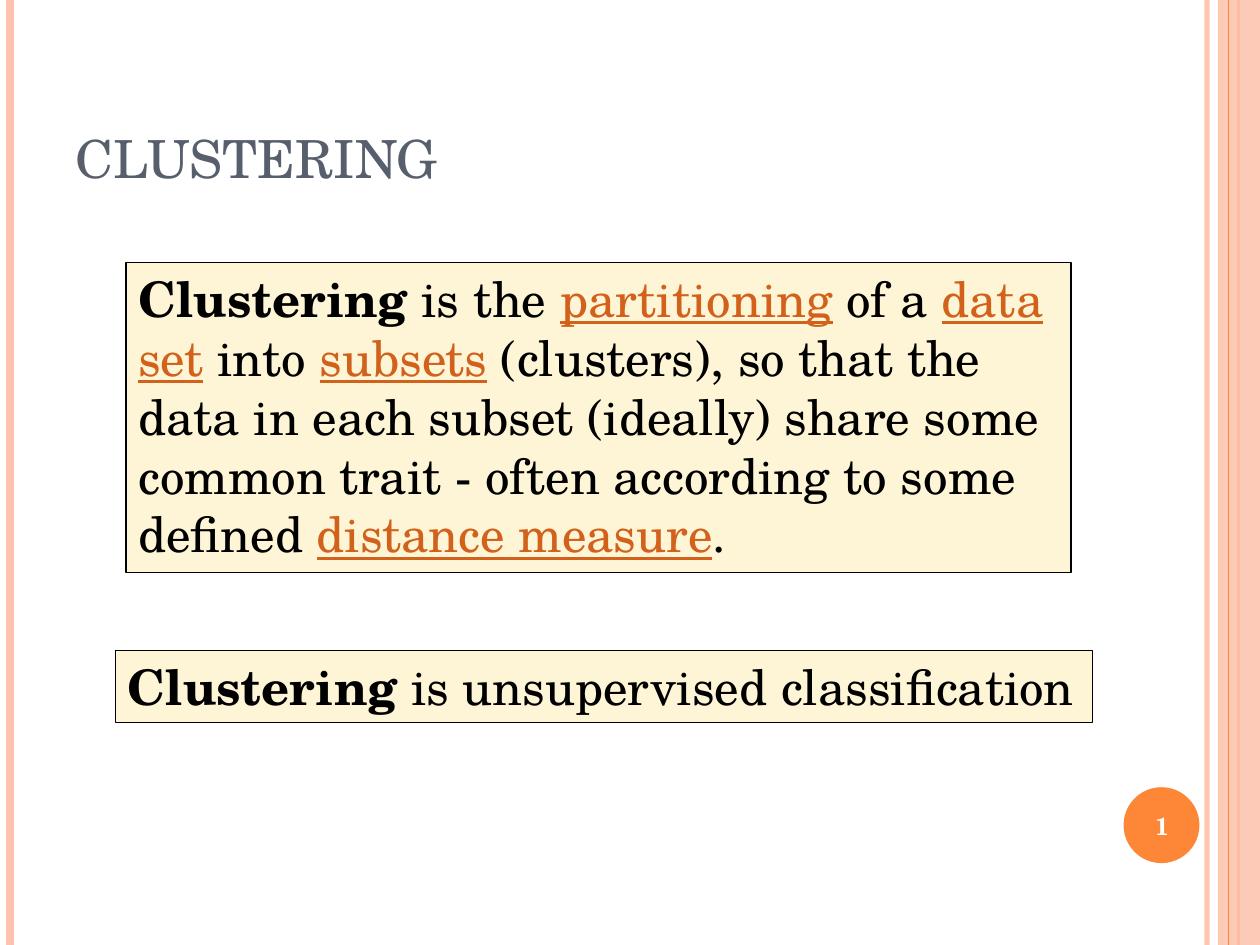
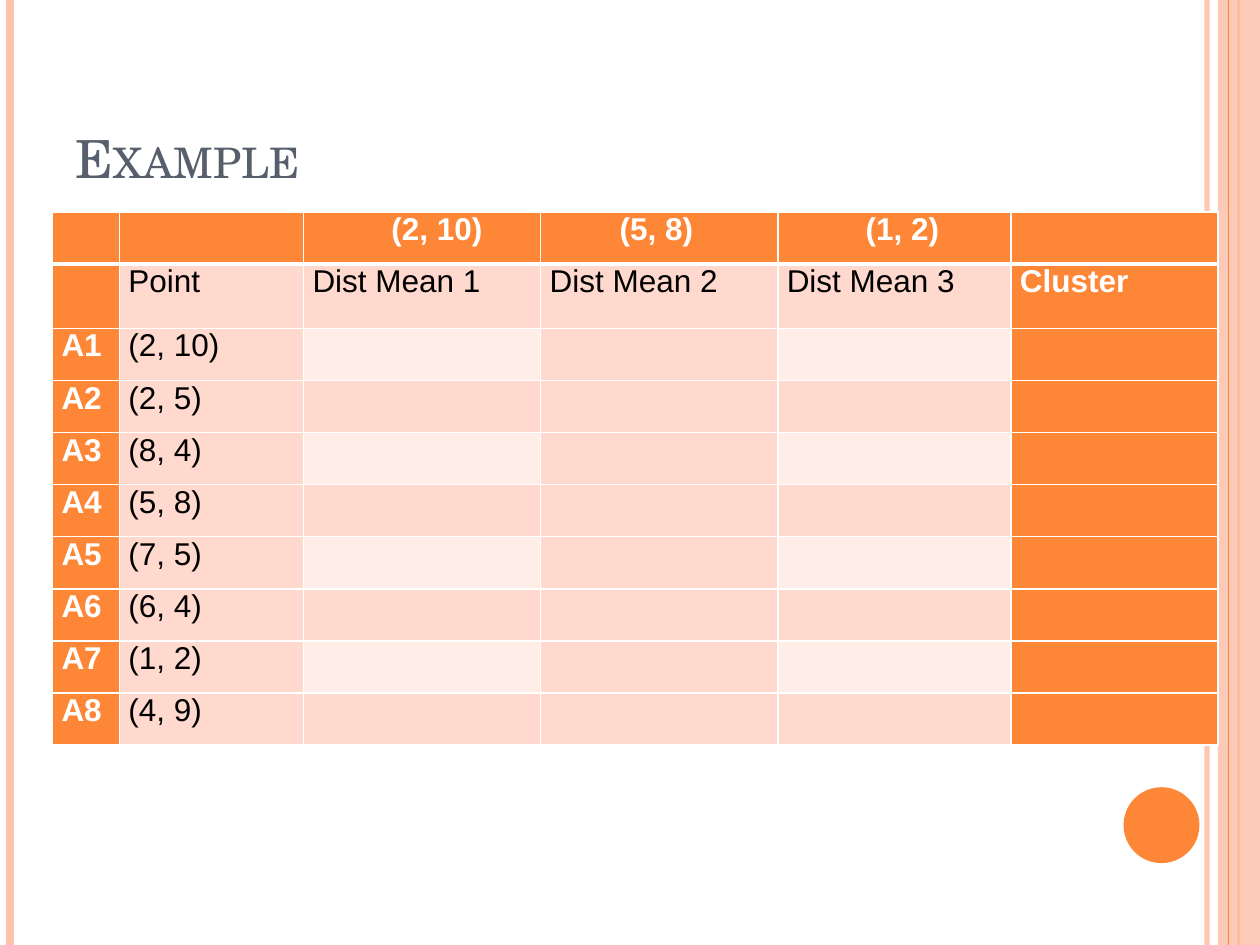
from dataclasses import dataclass

from lxml import etree
from pptx import Presentation
from pptx.dml.color import RGBColor
from pptx.enum.shapes import MSO_CONNECTOR, MSO_SHAPE
from pptx.enum.text import MSO_ANCHOR, MSO_AUTO_SIZE, PP_ALIGN
from pptx.oxml.ns import qn
from pptx.util import Cm, Pt

STRAIGHT = MSO_CONNECTOR.STRAIGHT
RECTANGLE, OVAL = MSO_SHAPE.RECTANGLE, MSO_SHAPE.OVAL
LEFT, CENTER = PP_ALIGN.LEFT, PP_ALIGN.CENTER
BOTTOM, MIDDLE, TOP = MSO_ANCHOR.BOTTOM, MSO_ANCHOR.MIDDLE, MSO_ANCHOR.TOP
GROW = MSO_AUTO_SIZE.SHAPE_TO_FIT_TEXT
NO_FIT = MSO_AUTO_SIZE.NONE
TITLE_ONLY_LAYOUT = 5


@dataclass(frozen=True)
class Theme:
    orange: str = "FE8637"
    peach: str = "FEC3AE"
    cream: str = "FDF5D5"
    link: str = "D2611C"
    slate: str = "575F6D"
    tint: str = "FFD9CE"
    pale: str = "FFEDE8"
    black: str = "000000"
    white: str = "FFFFFF"
    serif: str = "TeX Gyre Schola"
    sans: str = "Arial"
    title_size: int = 30
    text_size: int = 28
    table_size: int = 18
    number_size: int = 14


THEME = Theme()
WIDTH, HEIGHT = 25.4, 19.05


@dataclass(frozen=True)
class Frame:
    left: float
    top: float
    width: float
    height: float

    def lengths(self) -> tuple:
        return Cm(self.left), Cm(self.top), Cm(self.width), Cm(self.height)


@dataclass(frozen=True)
class Stripe:
    x: float
    color: str
    weight: float
    opacity: int = 100


@dataclass(frozen=True)
class Span:
    text: str
    size: int = THEME.text_size
    color: str = THEME.black
    bold: bool = False
    underline: bool = False
    font: str = THEME.serif


@dataclass(frozen=True)
class Entry:
    text: str = ""
    fill: str = THEME.orange
    indent: float = 0


TITLE_FRAME = Frame(1.27, 0.76, 20.75, 3.18)
BAND_FRAME = Frame(24.55, 0, 0.85, HEIGHT)
BADGE_FRAME = Frame(22.65, 15.87, 1.53, 1.53)
NUMBER_FRAME = Frame(22.58, 15.93, 1.7, 1.45)
STRIPES_BELOW_BAND = (
    Stripe(24.33, THEME.peach, 3, 93),
    Stripe(0.21, THEME.peach, 4.5),
    Stripe(24.97, THEME.orange, 1.5),
)
STRIPE_ON_BAND = Stripe(24.76, THEME.orange, 0.75)

DEFINITION_FRAME = Frame(2.54, 5.29, 19.05, 6.25)
SUMMARY_FRAME = Frame(2.33, 13.12, 19.69, 1.45)
TABLE_FRAME = Frame(1.06, 4.27, 23.49, 10.77)
COLUMN_WIDTHS = (1.35, 3.71, 4.78, 4.78, 4.7, 4.17)
ROW_HEIGHT, LABEL_ROW_HEIGHT = 1.05, 1.3
POINTS = ("(2, 10)", "(2, 5)", "(8, 4)", "(5, 8)",
          "(7, 5)", "(6, 4)", "(1, 2)", "(4, 9)")
MEANS = (("(2, 10)", 1.59), ("(5, 8)", 1.41), ("(1, 2)", 1.59))


def rgb(color: str) -> RGBColor:
    return RGBColor.from_string(color)


def set_opacity(properties, percent: int) -> None:
    if percent < 100:
        color = next(properties.iter(qn("a:srgbClr")))
        etree.SubElement(color, qn("a:alpha")).set("val", str(percent * 1000))


def add_span(para, span: Span):
    run = para.add_run()
    run.text = span.text
    font = run.font
    font.name, font.size = span.font, Pt(span.size)
    font.bold, font.underline = span.bold, span.underline
    font.color.rgb = rgb(span.color)
    return run


def add_stripe(page, stripe: Stripe) -> None:
    x = Cm(stripe.x)
    connector = page.shapes.add_connector(STRAIGHT, x, 0, x, Cm(HEIGHT))
    connector.line.color.rgb = rgb(stripe.color)
    connector.line.width = Pt(stripe.weight)
    properties = connector.element.spPr
    set_opacity(properties, stripe.opacity)
    etree.SubElement(properties, qn("a:effectLst"))


def add_filled(page, kind, frame: Frame, color: str, opacity: int = 100):
    shape = page.shapes.add_shape(kind, *frame.lengths())
    shape.shadow.inherit = False
    shape.fill.solid()
    shape.fill.fore_color.rgb = rgb(color)
    set_opacity(shape.element.spPr, opacity)
    shape.line.fill.background()
    return shape


def add_page(deck, title: str):
    page = deck.slides.add_slide(deck.slide_layouts[TITLE_ONLY_LAYOUT])
    for stripe in STRIPES_BELOW_BAND:
        add_stripe(page, stripe)
    add_filled(page, RECTANGLE, BAND_FRAME, THEME.peach, 87)
    add_stripe(page, STRIPE_ON_BAND)
    add_filled(page, OVAL, BADGE_FRAME, THEME.orange)
    heading = page.shapes.title
    heading.left, heading.top, heading.width, heading.height = TITLE_FRAME.lengths()
    heading.text_frame.auto_size = NO_FIT
    heading.text_frame.vertical_anchor = BOTTOM
    para = heading.text_frame.paragraphs[0]
    para.alignment = LEFT
    run = add_span(para, Span(title, THEME.title_size, THEME.slate))
    run.font._element.set("cap", "small")
    return page


def add_number(page, number: int) -> None:
    box = page.shapes.add_textbox(*NUMBER_FRAME.lengths())
    box.text_frame.word_wrap = True
    box.text_frame.vertical_anchor = MIDDLE
    para = box.text_frame.paragraphs[0]
    para.alignment = CENTER
    add_span(para, Span(str(number), THEME.number_size, THEME.white, bold=True))


def add_panel(page, frame: Frame, spans: tuple[Span, ...]) -> None:
    panel = add_filled(page, RECTANGLE, frame, THEME.cream)
    panel.line.color.rgb = rgb(THEME.black)
    panel.line.width = Pt(0.75)
    text = panel.text_frame
    text.word_wrap = True
    text.auto_size = GROW
    text.vertical_anchor = TOP
    para = text.paragraphs[0]
    para.alignment = LEFT
    for span in spans:
        add_span(para, span)


def link(text: str) -> Span:
    return Span(text, color=THEME.link, underline=True)


def set_borders(cell, weights: dict[str, float]) -> None:
    properties = cell._tc.get_or_add_tcPr()
    for position, (side, weight) in enumerate(weights.items()):
        line = etree.Element(qn(f"a:ln{side}"), w=str(Pt(weight)))
        fill = etree.SubElement(line, qn("a:solidFill"))
        etree.SubElement(fill, qn("a:srgbClr")).set("val", THEME.white)
        properties.insert(position, line)


def fill_cell(cell, entry: Entry) -> None:
    cell.margin_left = cell.margin_right = Cm(0.18)
    cell.margin_top = cell.margin_bottom = 0
    cell.fill.solid()
    cell.fill.fore_color.rgb = rgb(entry.fill)
    para = cell.text_frame.paragraphs[0]
    if entry.indent:
        para._p.get_or_add_pPr().set("marL", str(Cm(entry.indent)))
    if entry.text:
        strong = entry.fill == THEME.orange
        color = THEME.white if strong else THEME.black
        add_span(para, Span(entry.text, THEME.table_size, color, strong, font=THEME.sans))
    else:
        para.font.size = Pt(THEME.table_size)


def distance_rows() -> list[list[Entry]]:
    header = [Entry(), Entry(), *(Entry(text, indent=gap) for text, gap in MEANS), Entry()]
    names = ["Point"] + [f"Dist Mean {mean}" for mean in range(1, len(MEANS) + 1)]
    labels = [Entry(), *(Entry(name, THEME.tint) for name in names), Entry("Cluster")]
    rows = [header, labels]
    for number, point in enumerate(POINTS, 1):
        outer = THEME.pale if number % 2 else THEME.tint
        blanks = [Entry(fill=fill) for fill in (outer, THEME.tint, outer)]
        rows.append([Entry(f"A{number}"), Entry(point, THEME.tint), *blanks, Entry()])
    return rows


def add_distance_table(page) -> None:
    rows = distance_rows()
    table = page.shapes.add_table(
        len(rows), len(COLUMN_WIDTHS), *TABLE_FRAME.lengths()).table
    table.horz_banding = False
    for column, width in zip(table.columns, COLUMN_WIDTHS):
        column.width = Cm(width)
    for row_index, entries in enumerate(rows):
        table.rows[row_index].height = Cm(LABEL_ROW_HEIGHT if row_index == 1 else ROW_HEIGHT)
        weights = {"L": 1, "R": 1,
                   "T": 3 if row_index == 1 else 1,
                   "B": 3 if row_index == 0 else 1}
        for column_index, entry in enumerate(entries):
            cell = table.cell(row_index, column_index)
            fill_cell(cell, entry)
            set_borders(cell, weights)


def build_clustering(deck) -> None:
    page = add_page(deck, "CLUSTERING")
    add_number(page, 1)
    term = Span("Clustering", bold=True)
    add_panel(page, DEFINITION_FRAME, (
        term, Span(" is the "), link("partitioning"), Span(" of a "),
        link("data set"), Span(" into "), link("subsets"),
        Span(" (clusters), so that the data in each subset (ideally) share some "
             "common trait - often according to some defined "),
        link("distance measure"), Span("."),
    ))
    add_panel(page, SUMMARY_FRAME, (term, Span(" is unsupervised classification")))


def build_example(deck) -> None:
    page = add_page(deck, "Example")
    add_distance_table(page)


def main() -> None:
    deck = Presentation()
    deck.slide_width, deck.slide_height = Cm(WIDTH), Cm(HEIGHT)
    build_clustering(deck)
    build_example(deck)
    deck.save("out.pptx")


if __name__ == "__main__":
    main()
